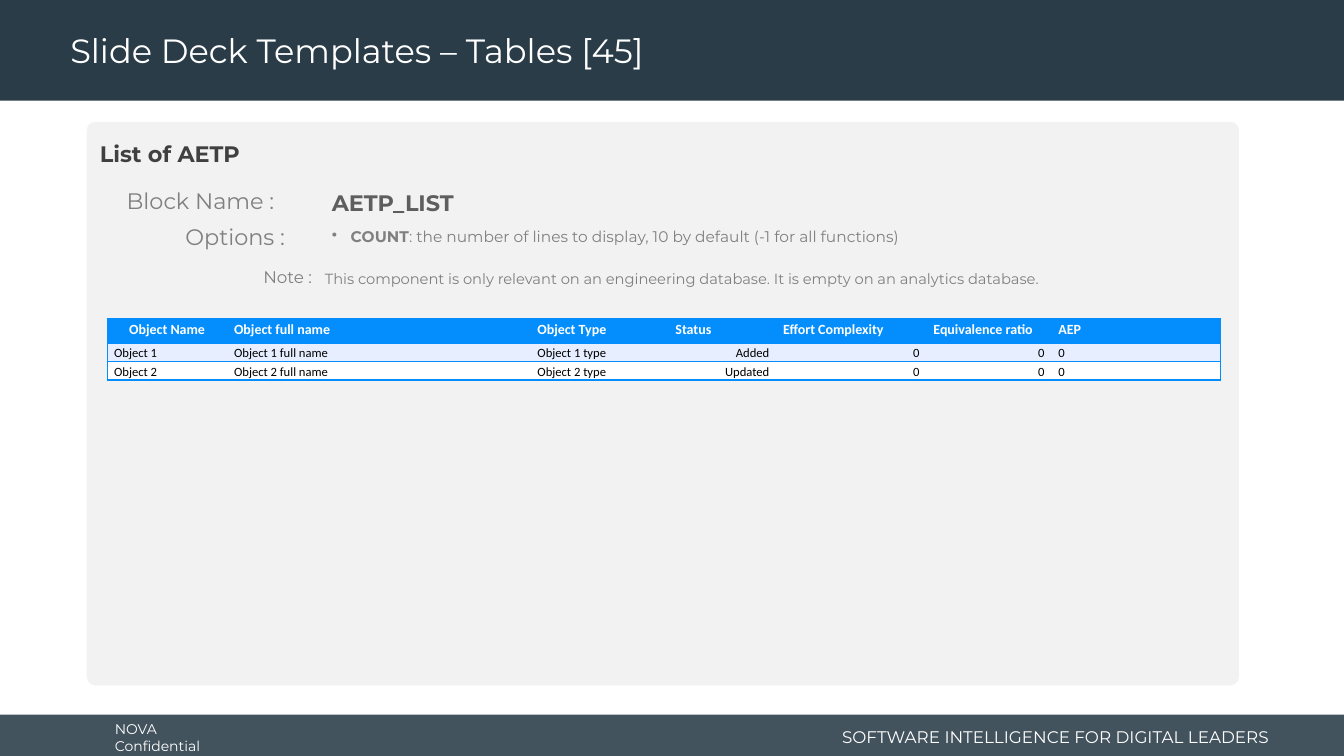
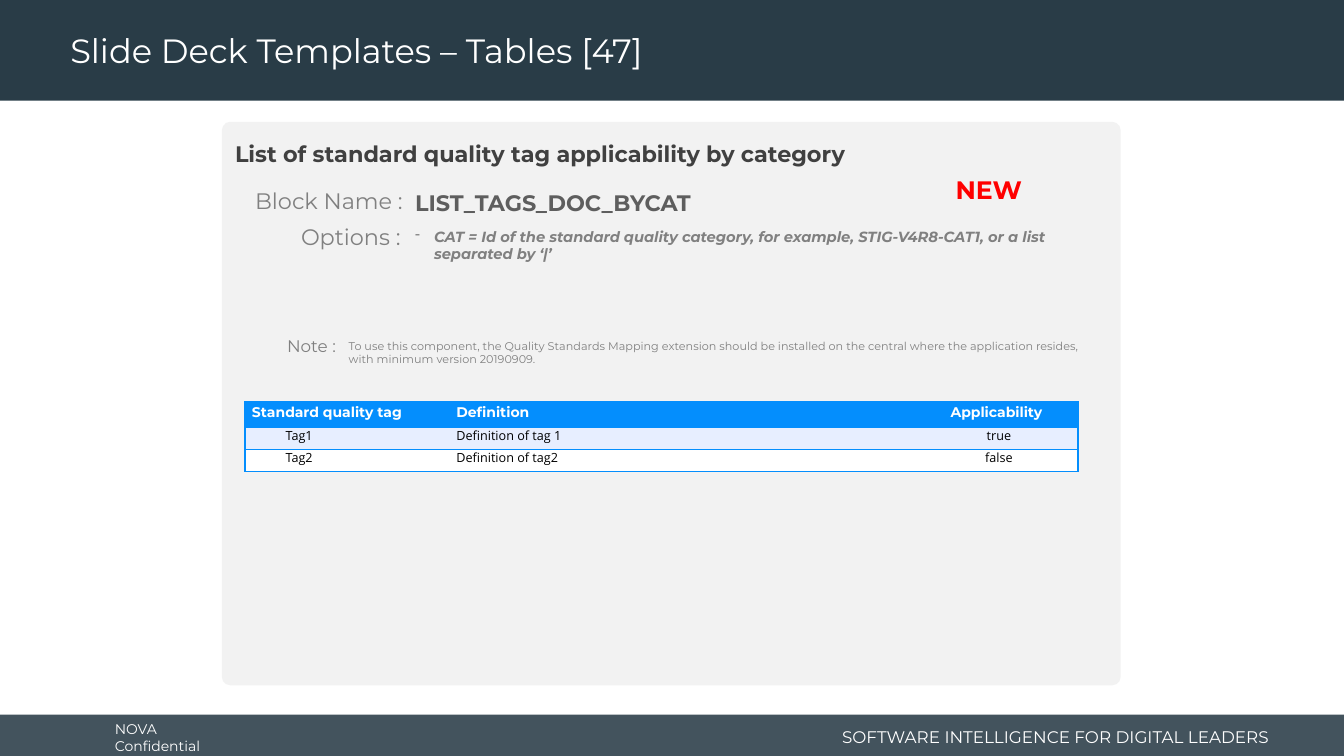
from dataclasses import dataclass

from lxml.etree import SubElement
from pptx import Presentation
from pptx.dml.color import RGBColor
from pptx.enum.shapes import MSO_SHAPE
from pptx.enum.text import MSO_ANCHOR, MSO_AUTO_SIZE, PP_ALIGN
from pptx.oxml.ns import qn
from pptx.util import Pt

SLIDE_W, SLIDE_H = 960, 540
COLORS = {
    "band": "293C47", "white": "FFFFFF", "panel": "F2F2F2", "heading": "404040",
    "value": "5E5E5E", "label": "808080", "accent": "048EFD", "stripe": "E7EEFF",
    "black": "000000", "new": "FF0000",
}
LEFT, CENTER, RIGHT = PP_ALIGN.LEFT, PP_ALIGN.CENTER, PP_ALIGN.RIGHT


@dataclass
class Box:
    left: float
    top: float
    width: float
    height: float

    def inner(self, x, y, width, height):
        """Return a box whose corner is offset from this one's corner."""
        return Box(self.left + x, self.top + y, width, height)

    def lengths(self):
        return [Pt(n) for n in (self.left, self.top, self.width, self.height)]


def rgb(name):
    return RGBColor.from_string(COLORS[name])


def write(frame, text, size, color, lead="", font="Montserrat", bold=False,
          italic=False, align=LEFT, spacing=None, indent=0, bullet=None):
    """Fill a frame with one paragraph; lead is a bold opening."""
    paragraph = frame.paragraphs[0]
    paragraph.alignment = align
    if spacing:
        paragraph.line_spacing = spacing
    properties = paragraph._p.get_or_add_pPr()
    if indent:
        properties.set("marL", str(Pt(indent)))
    if bullet:
        properties.set("indent", str(-Pt(indent)))
        SubElement(properties, qn("a:buChar"), char=bullet)
    for part, is_bold in ((lead, True), (text, bold)):
        if part:
            run = paragraph.add_run()
            run.text = part
            run.font.name = font
            run.font.size = Pt(size)
            run.font.bold = is_bold
            run.font.italic = italic
            run.font.color.rgb = rgb(color)


def add_text(slide, box, text, size, color, wrap=True, anchor=MSO_ANCHOR.TOP,
             side_inset=7.2, **text_format):
    frame = slide.shapes.add_textbox(*box.lengths()).text_frame
    frame.word_wrap = wrap
    frame.vertical_anchor = anchor
    frame.margin_left = frame.margin_right = Pt(side_inset)
    write(frame, text, size, color, **text_format)


def add_block(slide, box, color, preset=MSO_SHAPE.RECTANGLE):
    block = slide.shapes.add_shape(preset, *box.lengths())
    block.shadow.inherit = False
    block.fill.solid()
    block.fill.fore_color.rgb = rgb(color)
    block.line.fill.background()
    return block


def add_bands(slide, layout):
    """Draw the header and footer, then hand them to the layout."""
    before = len(slide.shapes)
    footer = Box(0, 510.5, SLIDE_W, SLIDE_H - 510.5)
    footer_band = add_block(slide, footer, "band")
    band_color = footer_band.fill._xPr.find(qn("a:solidFill"))[0]
    SubElement(band_color, qn("a:alpha"), val="88000")
    add_block(slide, Box(0, 0, SLIDE_W, 72), "band")
    add_text(slide, footer.inner(75, 1.5, 106.5, 29), "NOVA Confidential", 10, "white",
             wrap=False, anchor=MSO_ANCHOR.MIDDLE)
    add_text(slide, footer.inner(574, 4.5, 339.5, 23),
             "SOFTWARE INTELLIGENCE FOR DIGITAL LEADERS", 12, "white",
             anchor=MSO_ANCHOR.MIDDLE, align=RIGHT)
    for band_part in list(slide.shapes)[before:]:
        layout.shapes._spTree.append(band_part._element)


def set_title(slide, text):
    title = slide.shapes.title
    title.left, title.top, title.width, title.height = Box(43, 3, 690, 69).lengths()
    frame = title.text_frame
    frame.auto_size = MSO_AUTO_SIZE.NONE
    frame.vertical_anchor = MSO_ANCHOR.MIDDLE
    write(frame, text, 24, "white", spacing=0.9)


def add_panel(slide, box, heading, block_name, option):
    """Draw the grey card; its columns scale with its width."""
    panel = add_block(slide, box, "panel", MSO_SHAPE.ROUNDED_RECTANGLE)
    panel.adjustments[0] = 0.015
    value_x = 0.204 * box.width
    value_width = 0.8 * box.width
    add_text(slide, box.inner(-5, 9.5, box.width, 26.5), heading, 16, "heading",
             bold=True, side_inset=14.4)
    add_text(slide, box.inner(value_x, 44.5, value_width, 26.5), block_name, 16,
             "value", bold=True)
    add_text(slide, box.inner(value_x, 72, value_width, 21), color="label",
             indent=13.5, **option)
    for label, share, y in (("Block Name :", 0.026, 43), ("Options :", 0.077, 69)):
        add_text(slide, box.inner(share * box.width, y, 120, 26.5), label, 16,
                 "label", wrap=False)


def add_note(slide, box, text, size):
    add_text(slide, box.inner(0, 0, 50, 21.5), "Note :", 12, "label", wrap=False)
    add_text(slide, box.inner(44, 2.5, box.width - 44, box.height), text, size, "label")


def set_borders(cell, sides):
    properties = cell._tc.get_or_add_tcPr()
    for side in "LRTB":
        border = SubElement(properties, qn(f"a:ln{side}"), w=str(Pt(1)))
        if side in sides:
            fill = SubElement(border, qn("a:solidFill"))
            SubElement(fill, qn("a:srgbClr"), val=COLORS["accent"])
        else:
            SubElement(border, qn("a:noFill"))


def add_data_table(slide, box, columns, row_heights, header_font, body_font, body_spacing):
    """Each column is (width, header align, body align, body indent, texts)."""
    table = slide.shapes.add_table(len(row_heights), len(columns), *box.lengths()).table
    for row, height in zip(table.rows, row_heights):
        row.height = Pt(height)
    row_fills = ("accent", "stripe", "white")
    for c, (width, header_align, body_align, indent, texts) in enumerate(columns):
        table.columns[c].width = Pt(width)
        sides = "TB" + "L" * (c == 0) + "R" * (c == len(columns) - 1)
        for r, text in enumerate(texts):
            cell = table.cell(r, c)
            cell.margin_left = cell.margin_right = Pt(5)
            cell.margin_top = cell.margin_bottom = 0
            set_borders(cell, sides)
            cell.fill.solid()
            cell.fill.fore_color.rgb = rgb(row_fills[r])
            if r == 0:
                write(cell.text_frame, text, 10, "white", font=header_font, bold=True,
                      align=header_align, spacing=1.15)
            else:
                write(cell.text_frame, text, 9, "black", font=body_font,
                      align=body_align, spacing=body_spacing, indent=indent)


def fill_aetp_slide(slide):
    set_title(slide, "Slide Deck Templates – Tables [45]")
    panel = Box(62, 87, 823, 402.5)
    add_panel(slide, panel, "List of AETP", "AETP_LIST", dict(
        lead="COUNT", size=11, bullet="•",
        text=": the number of lines to display, 10 by default (-1 for all functions)"))
    columns = [
        (85.7, CENTER, LEFT, 0, ("Object Name", "Object 1", "Object 2")),
        (216.7, LEFT, LEFT, 0, ("Object full name", "Object 1 full name", "Object 2 full name")),
        (98.6, LEFT, LEFT, 0, ("Object Type", "Object 1 type", "Object 2 type")),
        (77, LEFT, RIGHT, 0, ("Status", "Added", "Updated")),
        (107.3, LEFT, RIGHT, 0, ("Effort Complexity", "0", "0")),
        (89.3, LEFT, RIGHT, 0, ("Equivalence ratio", "0", "0")),
        (121, LEFT, LEFT, 0, ("AEP", "0", "0")),
    ]
    add_data_table(slide, panel.inner(14.5, 140.5, 795.6, 44), columns, (18, 13, 13),
                   "Calibri", "Calibri", 1.15)
    add_note(slide, panel.inner(119, 100, 595, 21),
             "This component is only relevant on an engineering database. "
             "It is empty on an analytics database.", 10.5)


def fill_tags_slide(slide):
    set_title(slide, "Slide Deck Templates – Tables [47]")
    panel = Box(158.5, 87, 642, 402.5)
    add_panel(slide, panel, "List of standard quality tag applicability by category",
              "LIST_TAGS_DOC_BYCAT", dict(
                  size=10.5, bullet="-", bold=True, italic=True,
                  text="CAT = Id of the standard quality category, for example, "
                       "STIG-V4R8-CAT1, or a list separated by ‘|’"))
    add_note(slide, panel.inner(39.5, 149, 595, 26.5),
             "To use this component, the Quality Standards Mapping extension should be "
             "installed on the central where the application resides, "
             "with minimum version 20190909.", 8)
    columns = [
        (146, LEFT, LEFT, 24, ("Standard quality tag", "Tag1", "Tag2")),
        (332.5, LEFT, LEFT, 0, ("Definition", "Definition of tag 1", "Definition of tag2")),
        (116.5, CENTER, CENTER, 3.6, ("Applicability", "true", "false")),
    ]
    add_data_table(slide, panel.inner(16.5, 200, 595, 50), columns, (18.5, 15.75, 15.75),
                   "Montserrat", "Open Sans", Pt(12))
    add_text(slide, panel.inner(517, 34, 120, 26.5), "NEW", 18, "new", bold=True)


def main():
    deck = Presentation()
    deck.slide_width, deck.slide_height = Pt(SLIDE_W), Pt(SLIDE_H)
    title_only = deck.slide_layouts[5]
    aetp_slide, tags_slide = (deck.slides.add_slide(title_only) for _ in range(2))
    add_bands(aetp_slide, title_only)
    fill_aetp_slide(aetp_slide)
    fill_tags_slide(tags_slide)
    deck.save("out.pptx")


if __name__ == "__main__":
    main()
